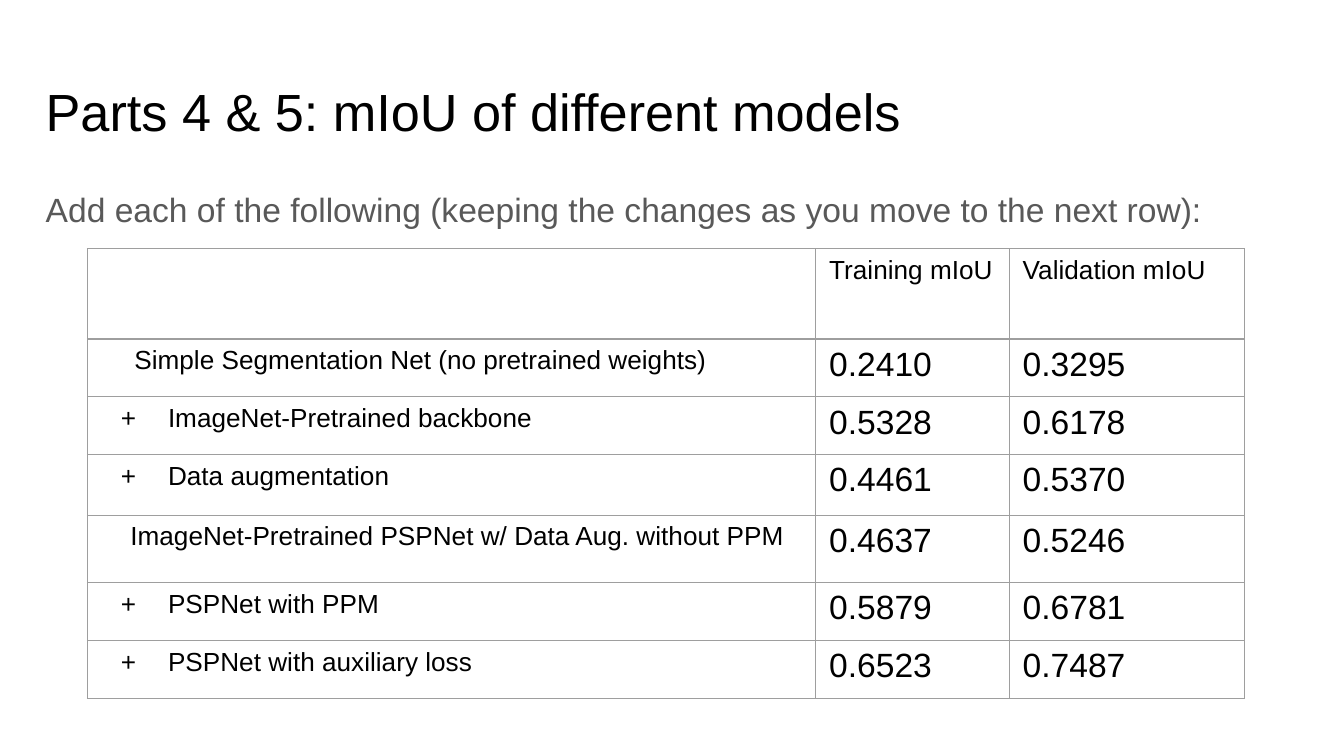
import lxml.etree
import pptx
import pptx.dml.color
import pptx.oxml.ns
import pptx.util

COLORS = {"ink": "000000", "body": "595959", "border": "9E9E9E"}
FONT = "Arial"
WIDTH = 10
HEIGHT = WIDTH * 9 / 16
TITLE_BOX = (0.34, 0.49, 9.32, 0.63)
BODY_BOX = (0.34, 1.26, 9.32, 3.74)
TABLE_BOX = (0.65, 1.85, 8.61, 3.35)
COLUMN_WEIGHTS = (5.42, 1.44, 1.75)
ROW_WEIGHTS = (0.67, 0.43, 0.43, 0.45, 0.5, 0.43, 0.43)
HEADINGS = ("", "Training mIoU", "Validation mIoU")
RESULTS = (
    ("Simple Segmentation Net (no pretrained weights)", 0.25, False, "0.2410", "0.3295"),
    ("ImageNet-Pretrained backbone", 0.5, True, "0.5328", "0.6178"),
    ("Data augmentation", 0.5, True, "0.4461", "0.5370"),
    ("ImageNet-Pretrained PSPNet w/ Data Aug. without PPM", 0.22, False, "0.4637", "0.5246"),
    ("PSPNet with PPM", 0.5, True, "0.5879", "0.6781"),
    ("PSPNet with auxiliary loss", 0.5, True, "0.6523", "0.7487"),
)


def inches(box):
    return [pptx.util.Inches(length) for length in box]


def add_span(para, text, size, color="ink"):
    span = para.add_run()
    span.text = text
    span.font.name = FONT
    span.font.size = pptx.util.Pt(size)
    span.font.color.rgb = pptx.dml.color.RGBColor.from_string(COLORS[color])


def add_child(parent, tag, **attributes):
    return lxml.etree.SubElement(parent, pptx.oxml.ns.qn(tag), **attributes)


def indent(para, left, plus):
    properties = para._p.get_or_add_pPr()
    properties.set("marL", str(pptx.util.Inches(left)))
    properties.set("indent", str(pptx.util.Inches(-0.35 if plus else 0)))
    if plus:
        color = add_child(properties, "a:buClr")
        add_child(color, "a:srgbClr", val=COLORS["ink"])
        add_child(properties, "a:buSzPts", val="1400")
        add_child(properties, "a:buFont", typeface=FONT)
        add_child(properties, "a:buChar", char="+")


def outline(cell):
    properties = cell._tc.get_or_add_tcPr()
    for side in ("a:lnL", "a:lnR", "a:lnT", "a:lnB"):
        line = add_child(properties, side, w=str(pptx.util.Pt(0.75)))
        fill = add_child(line, "a:solidFill")
        add_child(fill, "a:srgbClr", val=COLORS["border"])
    cell.fill.background()


def add_text(page, box, text, size, color, spacing):
    frame = page.shapes.add_textbox(*inches(box)).text_frame
    frame.word_wrap = True
    frame.margin_left = frame.margin_right = 0
    frame.margin_top = frame.margin_bottom = pptx.util.Inches(0.1)
    para = frame.paragraphs[0]
    para.line_spacing = spacing
    add_span(para, text, size, color)


def add_results(page, box):
    table = page.shapes.add_table(len(ROW_WEIGHTS), len(COLUMN_WEIGHTS), *inches(box)).table
    table.first_row = table.horz_banding = False
    for column, weight in zip(table.columns, COLUMN_WEIGHTS):
        column.width = pptx.util.Inches(box[2] * weight / sum(COLUMN_WEIGHTS))
    for row, weight in zip(table.rows, ROW_WEIGHTS):
        row.height = pptx.util.Inches(box[3] * weight / sum(ROW_WEIGHTS))
    for cell in table.iter_cells():
        cell.margin_left = cell.margin_right = pptx.util.Inches(0.1)
        cell.margin_top = cell.margin_bottom = pptx.util.Inches(0.05)
        outline(cell)
    for column, heading in enumerate(HEADINGS):
        if heading:
            add_span(table.cell(0, column).text_frame.paragraphs[0], heading, 14)
    for row, (model, left, plus, *scores) in enumerate(RESULTS, 1):
        para = table.cell(row, 0).text_frame.paragraphs[0]
        indent(para, left, plus)
        add_span(para, model, 14)
        for column, score in enumerate(scores, 1):
            add_span(table.cell(row, column).text_frame.paragraphs[0], score, 18)


def main():
    deck = pptx.Presentation()
    deck.slide_width, deck.slide_height = inches((WIDTH, HEIGHT))
    page = deck.slides.add_slide(deck.slide_layouts[6])
    add_text(page, TITLE_BOX, "Parts 4 & 5: mIoU of different models", 28, "ink", 1.0)
    add_text(
        page, BODY_BOX,
        "Add each of the following (keeping the changes as you move to the next row):",
        18, "body", 1.15,
    )
    add_results(page, TABLE_BOX)
    deck.save("out.pptx")


if __name__ == "__main__":
    main()
